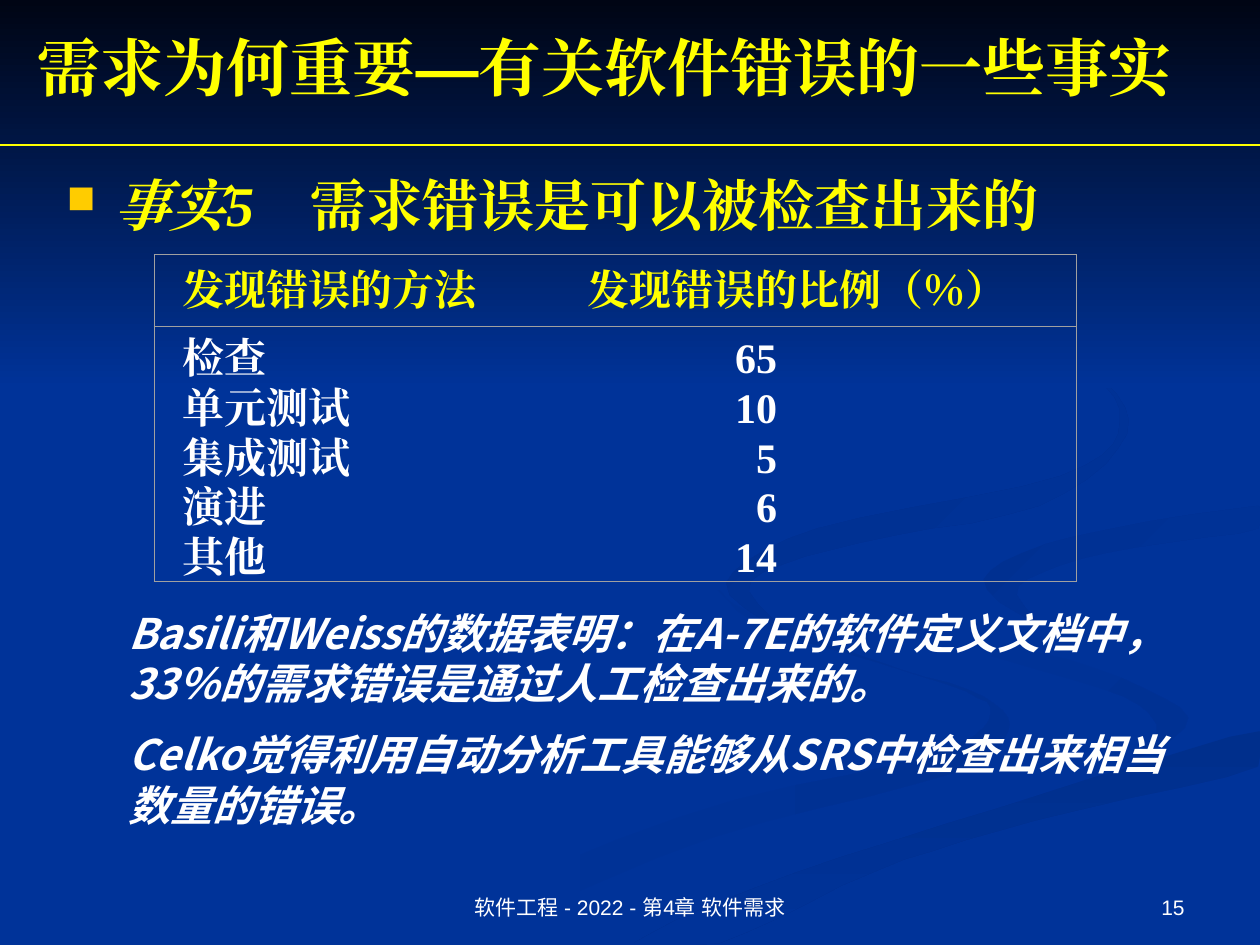
from dataclasses import dataclass
from typing import Any, NamedTuple

from lxml import etree
from pptx import Presentation
from pptx.dml.color import RGBColor
from pptx.enum.shapes import MSO_CONNECTOR, MSO_SHAPE
from pptx.enum.text import MSO_ANCHOR, PP_ALIGN
from pptx.oxml.ns import qn
from pptx.util import Pt

TOP, MIDDLE, BOTTOM = MSO_ANCHOR.TOP, MSO_ANCHOR.MIDDLE, MSO_ANCHOR.BOTTOM
LEFT, CENTER, RIGHT = PP_ALIGN.LEFT, PP_ALIGN.CENTER, PP_ALIGN.RIGHT
RECTANGLE, STRAIGHT = MSO_SHAPE.RECTANGLE, MSO_CONNECTOR.STRAIGHT

SLIDE_WIDTH, SLIDE_HEIGHT = 720, 540
CURVE_STEPS = 5
COLORS = {
    "blue": "003399", "night": "000514", "yellow": "FFFF00", "white": "FFFFFF",
    "gold": "FFCC00", "border": "A0A0A0", "shade_a": "003193",
    "shade_b": "002F8C", "shade_c": "003091", "shade_d": "002F8E",
}
SERIF, SANS, CHINESE = "Times New Roman", "Arial", "Noto Sans CJK SC"

TITLE = {"name": SERIF, "size": Pt(36), "bold": True, "color": "yellow"}
FACT = TITLE | {"size": Pt(32)}
HEADER = TITLE | {"size": Pt(24)}
CELL = HEADER | {"color": "white"}
REMARK = CELL | {"name": CHINESE, "italic": True}
FOOTER = {"name": SANS, "size": Pt(12), "color": "white"}


class Run(NamedTuple):
    text: str
    format: dict[str, Any]


@dataclass
class TextBlock:
    box: tuple[float, float, float, float]
    paragraphs: list[list[Run]]
    anchor: Any = TOP
    alignment: Any = LEFT
    line_height: float | None = None
    space_before: float = 0
    bullet: bool = False


@dataclass
class Ribbon:
    points: list[tuple[int, int]]
    start: str
    end: str
    angle: int = 0


RIBBONS = [
    Ribbon([(562, 398), (502, 378), (427, 349), (411, 337), (440, 360), (541, 391), (566, 408),
            (532, 431), (388, 467), (216, 539), (260, 539), (406, 479), (544, 442), (576, 418)],
           "blue", "shade_a"),
    Ribbon([(679, 410), (626, 382), (546, 359), (521, 334), (552, 369), (642, 398), (661, 418),
            (644, 436)], "blue", "shade_a", 45),
    Ribbon([(362, 539), (411, 539), (500, 498), (591, 469), (719, 438), (719, 418), (598, 453),
            (454, 499)], "shade_b", "blue", 90),
    Ribbon([(562, 331), (595, 357), (582, 335), (632, 316), (719, 302), (719, 289), (612, 307)],
           "shade_c", "blue", 45),
    Ribbon([(492, 310), (594, 289), (644, 248), (622, 210), (549, 168), (616, 205), (640, 241),
            (606, 272), (467, 302), (415, 333), (448, 360), (429, 332)], "shade_d", "blue", 45),
]

TEXT_BLOCKS = [
    TextBlock((246, 492, 228, 37), [[Run("软件工程 - 2022 - 第4章 软件需求", FOOTER)]], BOTTOM, CENTER),
    TextBlock((14.4, 10, 705.6, 55.5), [[
        Run("需求为何重要", TITLE), Run("—", TITLE | {"name": SANS}),
        Run("有关软件错误的一些事实", TITLE)]], MIDDLE),
    TextBlock((31, 94.3, 648, 93), [[
        Run("事实5　", FACT | {"italic": True}), Run("需求错误是可以被检查出来的", FACT)]],
        line_height=38, bullet=True),
    TextBlock((66.2, 343.4, 612, 137), [
        [Run("Basili和Weiss的数据表明：在A-7E的软件定义文档中，33％的需求错误是通过人工检查出来的。", REMARK)],
        [Run("Celko觉得利用自动分析工具能够从SRS中检查出来相当数量的错误。", REMARK)]],
        line_height=28.8, space_before=12),
    TextBlock((516, 492, 168, 37), [[Run("15", FOOTER)]], BOTTOM, RIGHT),
]

TABLE_ROWS = [("发现错误的方法", "发现错误的比例（％）"), ("检查", "65"), ("单元测试", "10"),
              ("集成测试", "5"), ("演进", "6"), ("其他", "14")]
ROW_HEIGHTS = [41, 32.4] + [28.4] * 4
COLUMN_WIDTHS = [238, 289]


def color(name: str) -> RGBColor:
    return RGBColor.from_string(COLORS[name])


def add_run(paragraph: Any, run: Run) -> None:
    text_run = paragraph.add_run()
    text_run.text = run.text
    for attribute, value in run.format.items():
        if attribute == "color":
            text_run.font.color.rgb = color(value)
        else:
            setattr(text_run.font, attribute, value)
    etree.SubElement(text_run.font._element, qn("a:ea"), typeface=run.format["name"])


def add_bullet(paragraph: Any) -> None:
    properties = paragraph._p.get_or_add_pPr()
    properties.set("marL", str(Pt(27)))
    properties.set("indent", str(Pt(-27)))
    bullet_color = etree.SubElement(properties, qn("a:buClr"))
    etree.SubElement(bullet_color, qn("a:srgbClr"), val=COLORS["gold"])
    etree.SubElement(properties, qn("a:buSzPct"), val="70000")
    etree.SubElement(properties, qn("a:buChar"), char="■")


def add_text(slide: Any, block: TextBlock) -> None:
    frame = slide.shapes.add_textbox(*map(Pt, block.box)).text_frame
    frame.word_wrap = True
    frame.vertical_anchor = block.anchor
    for index, runs in enumerate(block.paragraphs):
        paragraph = frame.add_paragraph() if index else frame.paragraphs[0]
        if block.bullet:
            add_bullet(paragraph)
        paragraph.alignment = block.alignment
        if block.line_height:
            paragraph.line_spacing = Pt(block.line_height)
        if index:
            paragraph.space_before = Pt(block.space_before)
        for run in runs:
            add_run(paragraph, run)


def paint(shape: Any, start: str, end: str, angle: int) -> None:
    shape.shadow.inherit = False
    shape.line.fill.background()
    shape.fill.gradient()
    shape.fill.gradient_angle = -angle % 360
    for stop, name, position in zip(shape.fill.gradient_stops, (start, end), (0, 1)):
        stop.color.rgb = color(name)
        stop.position = position


def spline(a: float, b: float, c: float, d: float, t: float) -> float:
    return b + t / 2 * (c - a + t * (2 * a - 5 * b + 4 * c - d + t * (3 * (b - c) + d - a)))


def smooth_outline(points: list[tuple[int, int]]) -> list[tuple[float, float]]:
    outline = []
    for index in range(len(points)):
        corners = [points[(index + offset) % len(points)] for offset in (-1, 0, 1, 2)]
        across, down = zip(*corners)
        for step in range(CURVE_STEPS):
            t = step / CURVE_STEPS
            outline.append((min(spline(*across, t), SLIDE_WIDTH),
                            min(spline(*down, t), SLIDE_HEIGHT)))
    return outline


def add_ribbon(slide: Any, ribbon: Ribbon) -> None:
    outline = smooth_outline(ribbon.points)
    builder = slide.shapes.build_freeform(*outline[0], scale=Pt(1))
    builder.add_line_segments(outline[1:], close=True)
    paint(builder.convert_to_shape(), ribbon.start, ribbon.end, ribbon.angle)


def set_borders(cell: Any, visible: dict[str, bool]) -> None:
    properties = cell._tc.get_or_add_tcPr()
    for position, (side, shown) in enumerate(visible.items()):
        line = etree.Element(qn(f"a:{side}"), w=str(Pt(0.5)))
        fill = etree.SubElement(line, qn("a:solidFill" if shown else "a:noFill"))
        if shown:
            etree.SubElement(fill, qn("a:srgbClr"), val=COLORS["border"])
        properties.insert(position, line)


def add_error_table(slide: Any) -> None:
    frame = slide.shapes.add_table(len(TABLE_ROWS), 2, Pt(88), Pt(145.4),
                                   Pt(sum(COLUMN_WIDTHS)), Pt(sum(ROW_HEIGHTS)))
    table = frame.table
    table.first_row = table.horz_banding = False
    for column, width in zip(table.columns, COLUMN_WIDTHS):
        column.width = Pt(width)
    for row_index, (texts, height) in enumerate(zip(TABLE_ROWS, ROW_HEIGHTS)):
        table.rows[row_index].height = Pt(height)
        for column_index, text in enumerate(texts):
            cell = table.cell(row_index, column_index)
            number = row_index > 0 and column_index == 1
            margins = {"margin_left": 10 if column_index else 16.5, "margin_top": 0,
                       "margin_right": 171 if number else 0, "margin_bottom": 0}
            for attribute, value in margins.items():
                setattr(cell, attribute, Pt(value))
            cell.vertical_anchor = BOTTOM if row_index else MIDDLE
            cell.fill.background()
            set_borders(cell, {"lnL": column_index == 0, "lnR": column_index == 1,
                               "lnT": row_index < 2,
                               "lnB": row_index in (0, len(TABLE_ROWS) - 1)})
            paragraph = cell.text_frame.paragraphs[0]
            paragraph.alignment = RIGHT if number else LEFT
            paragraph.line_spacing = Pt(28)
            add_run(paragraph, Run(text, CELL if row_index else HEADER))


def main() -> None:
    presentation = Presentation()
    presentation.slide_width, presentation.slide_height = Pt(SLIDE_WIDTH), Pt(SLIDE_HEIGHT)
    slide = presentation.slides.add_slide(presentation.slide_layouts[6])
    slide.background.fill.solid()
    slide.background.fill.fore_color.rgb = color("blue")
    for ribbon in RIBBONS:
        add_ribbon(slide, ribbon)
    paint(slide.shapes.add_shape(RECTANGLE, 0, 0, Pt(SLIDE_WIDTH), Pt(222)), "night", "blue", 90)
    rule = slide.shapes.add_connector(STRAIGHT, 0, Pt(82.8), Pt(SLIDE_WIDTH), Pt(82.8))
    rule.line.color.rgb = color("yellow")
    rule.line.width = Pt(0.75)
    etree.SubElement(rule._element.spPr, qn("a:effectLst"))
    for block in TEXT_BLOCKS:
        add_text(slide, block)
    add_error_table(slide)
    presentation.save("out.pptx")


if __name__ == "__main__":
    main()
